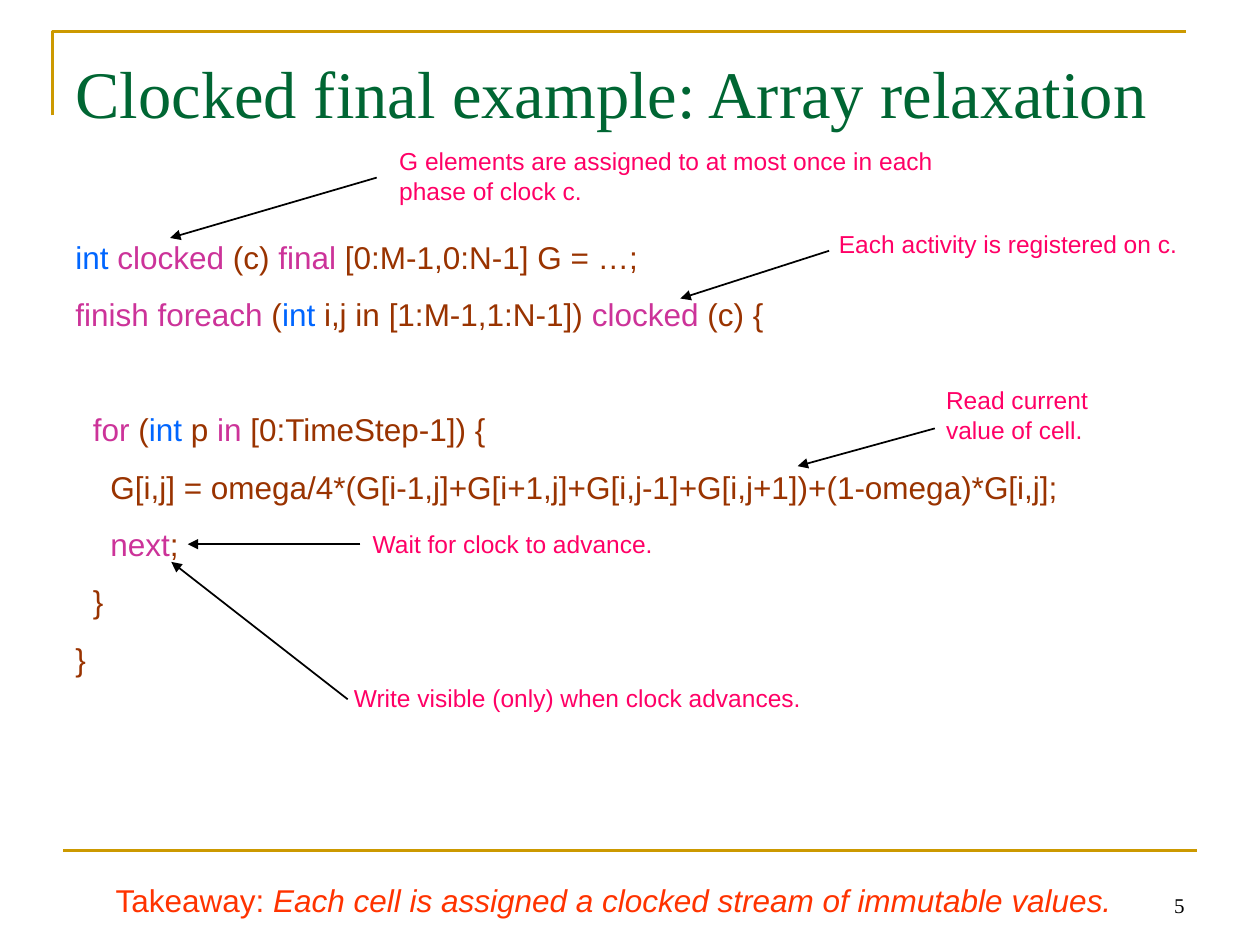
from lxml import etree
from pptx import Presentation
from pptx.dml.color import RGBColor
from pptx.enum import shapes, text
from pptx.oxml import ns
from pptx.util import Pt

# Colours
GOLD, GREEN, PINK, ORANGE, BLACK = "CC9900", "006633", "FF0066", "FF3300", "000000"
TYPE, KEYWORD, PLAIN = "0066FF", "CC3399", "993300"

# Content
TITLE = "Clocked final example: Array relaxation"
CODE = [
    [("int ", TYPE), ("clocked ", KEYWORD), ("(c) ", PLAIN), ("final ", KEYWORD),
     ("[0:M-1,0:N-1] G = …;", PLAIN)],
    [("finish foreach", KEYWORD), (" (", PLAIN), ("int", TYPE),
     (" i,j in [1:M-1,1:N-1]) ", PLAIN), ("clocked", KEYWORD), (" (c) {", PLAIN)],
    [("  for", KEYWORD), (" (", PLAIN), ("int", TYPE), (" p ", PLAIN),
     ("in", KEYWORD), (" [0:TimeStep-1]) {", PLAIN)],
    [("    G[i,j] = omega/4*(G[i-1,j]+G[i+1,j]+G[i,j-1]+G[i,j+1])+(1-omega)*G[i,j];",
      PLAIN)],
    [("    next", KEYWORD), (";", PLAIN)],
    [("  }", PLAIN)],
    [("}", PLAIN)],
]
LOOP_LINE = 2  # set apart from the lines above by one empty line
# text, box (left, top, width, height), wraps, arrow (from x, y, to x, y)
NOTES = [
    ("G elements are assigned to at most once in each phase of clock c.",
     (221, 80, 339, 40.3), True, (215.3, 101.5, 97.2, 136)),
    ("Each activity is registered on c.",
     (472.3, 127.4, 213.8, 24), True, (473.8, 143.3, 388.8, 170.6)),
    ("Read current value of cell.",
     (533.5, 216.7, 128.2, 40.3), True, (534.2, 244.8, 455.8, 266.4)),
    ("Wait for clock to advance.",
     (205.9, 298.8, 223.2, 24), True, (205.9, 311, 107.3, 311)),
    ("Write visible (only) when clock advances.",
     (195.1, 386.6, 270, 24), False, (198.7, 399.6, 97.9, 321.1)),
]
TAKEAWAY = [("Takeaway:", ORANGE),
            (" Each cell is assigned a clocked stream of immutable values.", ORANGE)]
PAGE_NUMBER = "5"
LINE_RATIO = 1.2
CODE_GAP = 11.2


def colour(value):
    return RGBColor.from_string(value)


def style(font, size, value, name="Arial"):
    font.size, font.name = Pt(size), name
    font.color.rgb = colour(value)


def place_box(box, wrap=True):
    shape = slide.shapes.add_textbox(*map(Pt, box))
    shape.text_frame.word_wrap = wrap
    return shape.text_frame


def write_runs(paragraph, runs, size):
    paragraph.line_spacing = Pt(size * LINE_RATIO)
    for words, value in runs:
        run = paragraph.add_run()
        run.text = words
        style(run.font, size, value)


def draw_line(points, value, width, arrow=False):
    line = slide.shapes.add_connector(shapes.MSO_CONNECTOR.STRAIGHT, *map(Pt, points))
    line.line.color.rgb, line.line.width = colour(value), Pt(width)
    if arrow:
        head = etree.SubElement(line.line._get_or_add_ln(), ns.qn("a:tailEnd"))
        head.set("type", "triangle")
    etree.SubElement(line._element.spPr, ns.qn("a:effectLst"))


presentation = Presentation()
presentation.slide_width, presentation.slide_height = Pt(720), Pt(540)
slide = presentation.slides.add_slide(presentation.slide_layouts[5])

# Frame corner and footer rule
builder = slide.shapes.build_freeform(30, 66, scale=Pt(1))
builder.add_line_segments([(30, 18), (678, 18)], close=False)
corner = builder.convert_to_shape()
corner.shadow.inherit = False
corner.fill.background()
corner.line.color.rgb, corner.line.width = colour(GOLD), Pt(1.5)
draw_line((36, 486, 684, 486), GOLD, 1.5)

# Title
title = slide.shapes.title
title.left, title.top, title.width, title.height = map(Pt, (36, 21.6, 648, 90))
frame = title.text_frame
frame.text = TITLE
frame.auto_size = text.MSO_AUTO_SIZE.NONE
frame.vertical_anchor = text.MSO_ANCHOR.TOP
frame.margin_top = Pt(8)
frame.paragraphs[0].alignment = text.PP_ALIGN.LEFT
style(frame.paragraphs[0].runs[0].font, 38, GREEN, "Times New Roman")

# Code
frame = place_box((36, 132.5, 648.7, 258.5))
for index, runs in enumerate(CODE):
    paragraph = frame.paragraphs[0] if index == 0 else frame.add_paragraph()
    write_runs(paragraph, runs, 18)
    if index:
        empty_line = 18 * LINE_RATIO + CODE_GAP if index == LOOP_LINE else 0
        paragraph.space_before = Pt(CODE_GAP + empty_line)

# Notes with their arrows
for words, box, wrap, arrow in NOTES:
    write_runs(place_box(box, wrap).paragraphs[0], [(words, PINK)], 14)
    draw_line(arrow, BLACK, 1, arrow=True)

# Takeaway
paragraph = place_box((59, 499.7, 603.4, 28.8)).paragraphs[0]
write_runs(paragraph, TAKEAWAY, 18)
paragraph.runs[1].font.italic = True

# Page number
frame = place_box((516.2, 491.8, 167.8, 36))
frame.text = PAGE_NUMBER
frame.vertical_anchor = text.MSO_ANCHOR.BOTTOM
frame.paragraphs[0].alignment = text.PP_ALIGN.RIGHT
style(frame.paragraphs[0].runs[0].font, 12, BLACK, "Times New Roman")

presentation.save("out.pptx")
